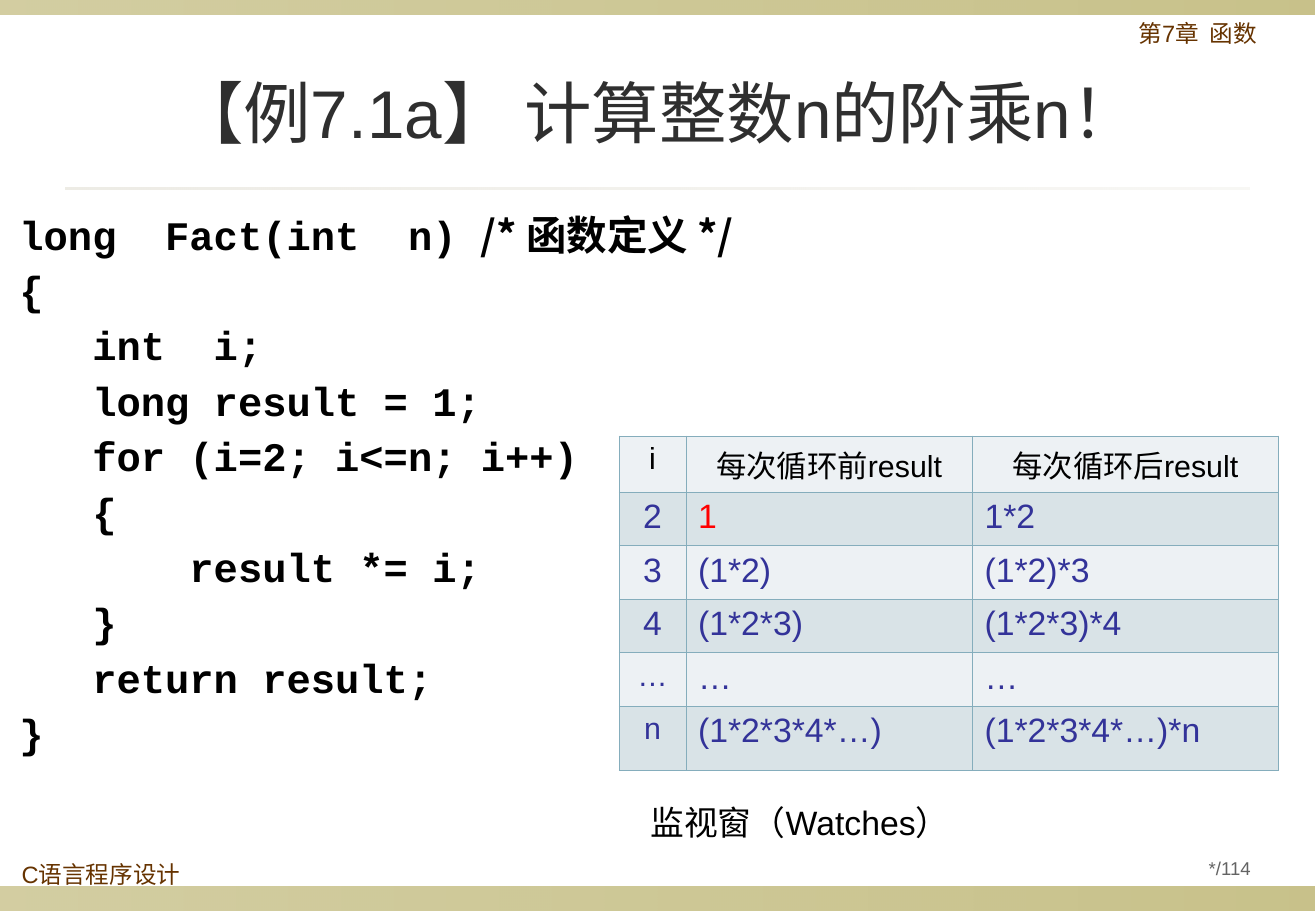
from dataclasses import dataclass

from lxml import etree
from pptx import Presentation
from pptx.dml.color import RGBColor
from pptx.enum.shapes import MSO_SHAPE
from pptx.enum.text import MSO_ANCHOR, MSO_AUTO_SIZE, PP_ALIGN
from pptx.oxml.ns import qn
from pptx.util import Emu, Pt

RECT = MSO_SHAPE.RECTANGLE
TOP, MIDDLE = MSO_ANCHOR.TOP, MSO_ANCHOR.MIDDLE
LEFT, CENTER = PP_ALIGN.LEFT, PP_ALIGN.CENTER
NO_AUTOFIT = MSO_AUTO_SIZE.NONE
EMU_PER_PX = 9144


@dataclass(frozen=True)
class Theme:
    sans: str = "Arial"
    mono: str = "Courier New"
    cjk: str = "Noto Sans CJK SC"
    bar: str = "918415"
    rule: str = "DCD9CC"
    title: str = "2F2F2F"
    label: str = "663300"
    number: str = "636363"
    text: str = "000000"
    value: str = "333399"
    highlight: str = "FF0000"
    border: str = "85ADBC"
    row_light: str = "EDF1F4"
    row_dark: str = "D9E3E7"
    title_pt: int = 40
    code_pt: int = 24
    value_pt: int = 20
    header_pt: int = 18
    label_pt: int = 14
    number_pt: int = 11
    border_pt: float = 0.45


THEME = Theme()


@dataclass(frozen=True)
class Box:
    x: int
    y: int
    w: int
    h: int

    def emu(self) -> tuple:
        return tuple(px(v) for v in (self.x, self.y, self.w, self.h))


@dataclass(frozen=True)
class Band:
    box: Box
    color: str
    alphas: tuple


@dataclass(frozen=True)
class Label:
    box: Box
    text: str
    size: int
    color: str
    align: PP_ALIGN = LEFT
    anchor: MSO_ANCHOR = TOP
    side_inset: int = 10


BANDS = [
    Band(Box(0, 730, 1083, 20), THEME.bar, (40, 50)),
    Band(Box(0, 0, 1083, 12), THEME.bar, (40, 50)),
    Band(Box(54, 154, 975, 2), THEME.rule, (50, 20)),
]
LABELS = [
    Label(Box(8, 706, 156, 32), "C语言程序设计", THEME.label_pt, THEME.label),
    Label(Box(928, 13, 156, 39), "第7章  函数", THEME.label_pt, THEME.label),
    Label(Box(526, 659, 386, 40), "监视窗（Watches）", THEME.value_pt, THEME.text),
    Label(Box(959, 700, 108, 31), "*/114", THEME.number_pt, THEME.number,
          CENTER, MIDDLE, 5),
]
TITLE = "【例7.1a】 计算整数n的阶乘n！"
TITLE_BOX = Box(54, 29, 975, 125)
CODE_BOX = Box(6, 162, 701, 551)
CODE_COMMENT = "/* 函数定义 */"
CODE = """long  Fact(int  n) 
{
   int  i;
   long result = 1;
   for (i=2; i<=n; i++)
   {
       result *= i;
   }
   return result;
}"""
WATCH_BOX = Box(510, 359, 543, 273)
WATCH_COLS = [55, 236, 252]
WATCH_ROWS = [44, 44, 44, 44, 44, 53]
WATCHES = [
    ("i", "每次循环前result", "每次循环后result"),
    ("2", "1", "1*2"),
    ("3", "(1*2)", "(1*2)*3"),
    ("4", "(1*2*3)", "(1*2*3)*4"),
    ("…", "…", "…"),
    ("n", "(1*2*3*4*…)", "(1*2*3*4*…)*n"),
]


def px(n: int) -> Emu:
    return Emu(n * EMU_PER_PX)


def place(sp, box: Box) -> None:
    sp.left, sp.top, sp.width, sp.height = box.emu()


def style_run(r, size: int, color: str, latin: str = THEME.sans, bold: bool = False) -> None:
    r.font.size = Pt(size)
    r.font.bold = bold
    r.font.color.rgb = RGBColor.from_string(color)
    r.font.name = latin
    ea = etree.SubElement(r.font._element, qn("a:ea"))
    ea.set("typeface", THEME.cjk)


def draw_band(slide, band: Band) -> None:
    sp = slide.shapes.add_shape(RECT, *band.box.emu())
    sp.shadow.inherit = False
    sp.line.fill.background()
    sp.fill.gradient()
    sp.fill.gradient_angle = 0
    for stop, alpha in zip(sp.fill.gradient_stops, band.alphas):
        stop.color.rgb = RGBColor.from_string(band.color)
    for clr, alpha in zip(sp._element.spPr.iter(qn("a:srgbClr")), band.alphas):
        etree.SubElement(clr, qn("a:alpha")).set("val", str(alpha * 1000))


def draw_label(slide, label: Label) -> None:
    sp = slide.shapes.add_textbox(*label.box.emu())
    tf = sp.text_frame
    tf.word_wrap = True
    tf.vertical_anchor = label.anchor
    tf.margin_left = tf.margin_right = px(label.side_inset)
    tf.margin_top = tf.margin_bottom = px(5)
    tf.text = label.text
    p = tf.paragraphs[0]
    p.alignment = label.align
    p.line_spacing = 0.9
    style_run(p.runs[0], label.size, label.color)


def draw_title(slide) -> None:
    sp = slide.shapes.title
    place(sp, TITLE_BOX)
    tf = sp.text_frame
    tf.auto_size = NO_AUTOFIT
    tf.vertical_anchor = MIDDLE
    tf.text = TITLE
    p = tf.paragraphs[0]
    p.alignment = CENTER
    style_run(p.runs[0], THEME.title_pt, THEME.title)


def draw_code(slide) -> None:
    sp = slide.placeholders[1]
    place(sp, CODE_BOX)
    tf = sp.text_frame
    tf.auto_size = NO_AUTOFIT
    tf.text = CODE
    for p in tf.paragraphs:
        pPr = p._p.get_or_add_pPr()
        pPr.set("marL", str(px(38)))
        pPr.set("indent", str(px(-38)))
        etree.SubElement(pPr, qn("a:buNone"))
        p.line_spacing = 1.14
        p.space_before = Pt(0)
        style_run(p.runs[0], THEME.code_pt, THEME.text, THEME.mono, True)
    r = tf.paragraphs[0].add_run()
    r.text = CODE_COMMENT
    style_run(r, THEME.code_pt, THEME.text, THEME.cjk, True)


def set_borders(cell) -> None:
    tcPr = cell._tc.get_or_add_tcPr()
    for i, side in enumerate(("a:lnL", "a:lnR", "a:lnT", "a:lnB")):
        ln = etree.Element(qn(side), w=str(Pt(THEME.border_pt)))
        fill = etree.SubElement(ln, qn("a:solidFill"))
        etree.SubElement(fill, qn("a:srgbClr")).set("val", THEME.border)
        tcPr.insert(i, ln)


def draw_watches(slide) -> None:
    tbl = slide.shapes.add_table(len(WATCH_ROWS), len(WATCH_COLS), *WATCH_BOX.emu()).table
    tbl.first_row = tbl.horz_banding = False
    for col, w in zip(tbl.columns, WATCH_COLS):
        col.width = px(w)
    for row, h in zip(tbl.rows, WATCH_ROWS):
        row.height = px(h)
    for i, texts in enumerate(WATCHES):
        for j, text in enumerate(texts):
            cell = tbl.cell(i, j)
            cell.fill.solid()
            fill = THEME.row_dark if i % 2 else THEME.row_light
            cell.fill.fore_color.rgb = RGBColor.from_string(fill)
            set_borders(cell)
            cell.text_frame.text = text
            p = cell.text_frame.paragraphs[0]
            p.alignment = CENTER if i == 0 or j == 0 else LEFT
            small = i == 0 or (j == 0 and not text.isdigit())
            size = THEME.header_pt if small else THEME.value_pt
            color = THEME.text if i == 0 else THEME.highlight if text == "1" else THEME.value
            style_run(p.runs[0], size, color)


def main() -> None:
    prs = Presentation()
    prs.slide_width, prs.slide_height = px(1084), px(750)
    slide = prs.slides.add_slide(prs.slide_layouts[1])
    for band in BANDS:
        draw_band(slide, band)
    draw_title(slide)
    draw_code(slide)
    draw_watches(slide)
    for label in LABELS:
        draw_label(slide, label)
    prs.save("out.pptx")


if __name__ == "__main__":
    main()
